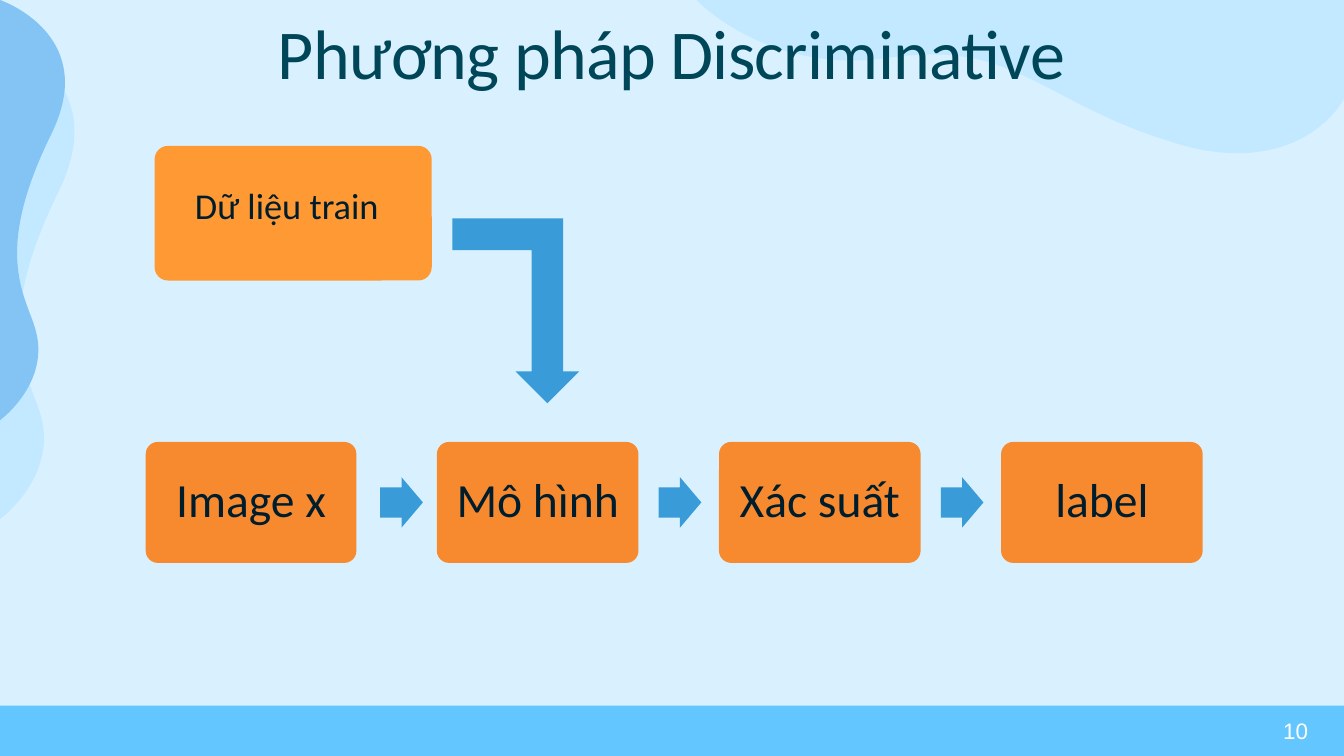
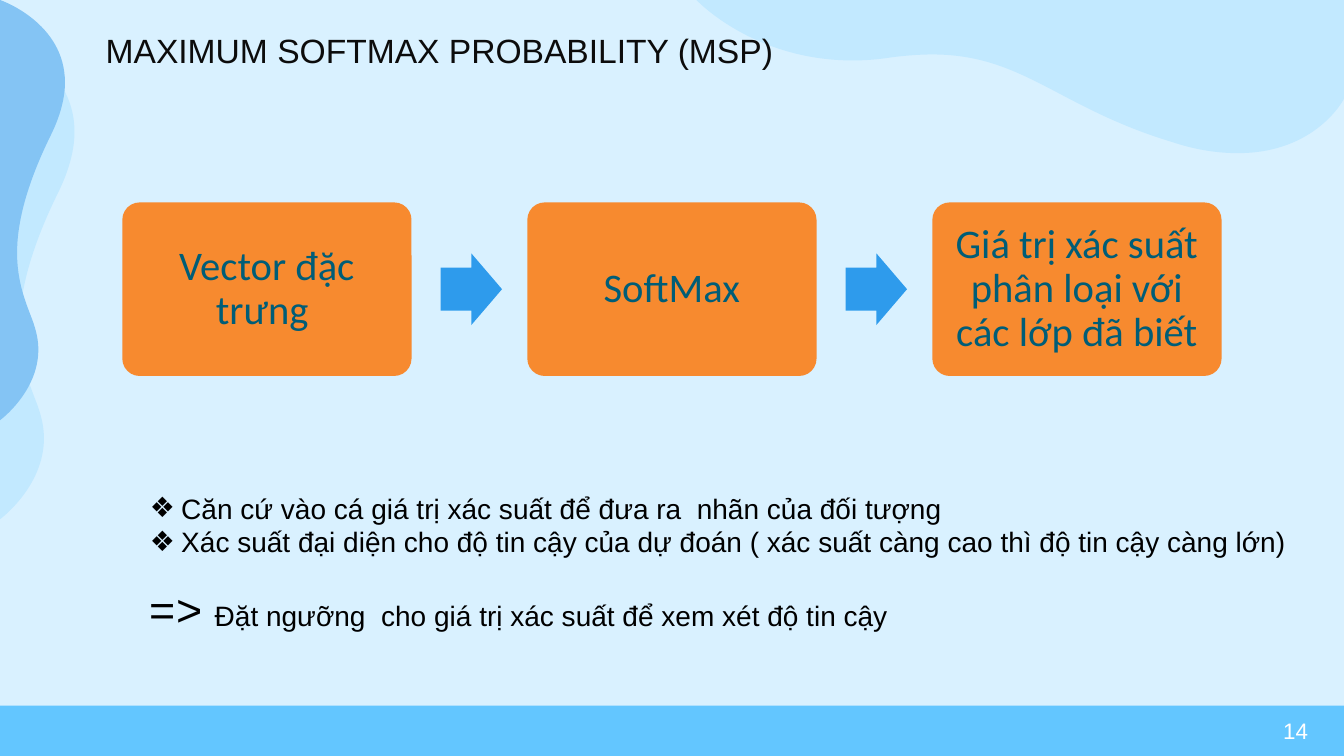
from pptx import Presentation
from pptx.dml.color import RGBColor
from pptx.enum.shapes import MSO_SHAPE
from pptx.enum.text import MSO_ANCHOR, PP_ALIGN
from pptx.oxml.ns import qn
from pptx.util import Pt
from lxml.etree import SubElement

COLORS = {
    "background": "D9F1FF",
    "band": "63C6FF",
    "pale_wave": "C2E9FF",
    "deep_wave": "84C4F4",
    "box": "F78A2F",
    "train_box": "FF9933",
    "model_arrow": "399BD8",
    "softmax_arrow": "2E9BEC",
    "title": "004659",
    "msp_title": "0C0C0C",
    "model_text": "001D2D",
    "softmax_text": "005D77",
    "black": "000000",
    "white": "FFFFFF",
}
WIDTH, HEIGHT, BAND_HEIGHT = 960, 540, 36

# Outlines: a start point, then segments of one point (line) or three (cubic curve).
TOP_WAVE = [
    (WIDTH, 0),
    [(WIDTH, 70.6)],
    [(WIDTH, 70.6), (940.3, 109.4), (884.2, 109.4)],
    [(870.5, 109.4), (854.6, 107.3), (837.4, 101.5)],
    [(756, 77), (730.8, 38.9), (666, 38.9)],
    [(657.4, 38.9), (647.3, 39.6), (636.5, 41)],
    [(627.1, 42.5), (617.8, 43.2), (609.1, 43.2)],
    [(537.8, 43.2), (497.5, 0), (497.5, 0)],
]
SIDE_WAVE = [
    (46.4, 59),
    [(46.4, 15.8), (0, 0), (0, 0)],
    [(0, 300.2)],
    [(0, 300.2), (27.4, 280.1), (27.4, 249.8)],
    [(27.4, 242.6), (25.9, 236.2), (23, 228.2)],
    [(18, 215.3), (12.2, 200.9), (12.2, 180.7)],
    [(12.2, 160.6), (18, 133.9), (36, 97.2)],
    [(43.2, 82.8), (46.4, 69.8), (46.4, 59)],
]


def rgb(name):
    return RGBColor.from_string(COLORS[name])


def paint(sp, color):
    sp.fill.solid()
    sp.fill.fore_color.rgb = rgb(color)
    sp.line.fill.background()
    sp.shadow.inherit = False
    return sp


def add_block(s, kind, left, top, width, height, color, adjust=()):
    sp = s.shapes.add_shape(kind, Pt(left), Pt(top), Pt(width), Pt(height))
    for i, value in enumerate(adjust):
        sp.adjustments[i] = value
    return paint(sp, color)


def add_wave(s, outline, color, scale=1, drop=0):
    """Build the outline from its corners, then bend the curved segments."""
    def place(point):
        return Pt(point[0] * scale), Pt(point[1] * scale + drop)

    start, *segments = outline
    builder = s.shapes.build_freeform(*place(start))
    builder.add_line_segments([place(segment[-1]) for segment in segments], close=True)
    sp = paint(builder.convert_to_shape(), color)
    edges = list(sp.element.iter(qn("a:lnTo")))
    for edge, segment in zip(edges, segments):
        if len(segment) == 1:
            continue
        edge.tag = qn("a:cubicBezTo")
        for i, control in enumerate(segment[:-1]):
            x, y = place(control)
            pt = SubElement(edge, qn("a:pt"))
            pt.set("x", str(x - sp.left))
            pt.set("y", str(y - sp.top))
            edge.insert(i, pt)


def set_frame(tf, anchor, insets=(7.2, 3.6, 7.2, 3.6)):
    """Insets run left, top, right, bottom."""
    tf.word_wrap = True
    tf.vertical_anchor = anchor
    tf.margin_left, tf.margin_top, tf.margin_right, tf.margin_bottom = map(Pt, insets)
    return tf


def add_frame(s, left, top, width, height, anchor):
    sp = s.shapes.add_textbox(Pt(left), Pt(top), Pt(width), Pt(height))
    return set_frame(sp.text_frame, anchor)


def write(p, text, size, color, font="Arial", align=PP_ALIGN.LEFT, spacing=1,
          before=0, tracking=0):
    p.alignment = align
    p.line_spacing = spacing
    p.space_before = Pt(before)
    r = p.add_run()
    r.text = text
    r.font.size = Pt(size)
    r.font.name = font
    r.font.color.rgb = rgb(color)
    if tracking:
        r.font._element.set("spc", str(int(tracking * 100)))


def set_bullet(p, char, indent):
    pPr = p._p.get_or_add_pPr()
    pPr.set("marL", str(Pt(indent)))
    pPr.set("indent", str(-Pt(indent)))
    color = SubElement(pPr, qn("a:buClr"))
    SubElement(color, qn("a:srgbClr")).set("val", COLORS["black"])
    SubElement(pPr, qn("a:buFont")).set("typeface", "Arial")
    SubElement(pPr, qn("a:buChar")).set("char", char)


def add_title(s, text, left, top, width, height, **style):
    tf = add_frame(s, left, top, width, height, MSO_ANCHOR.BOTTOM)
    write(tf.paragraphs[0], text, spacing=0.65, **style)


def add_box(s, text, left, top, width, height, size, text_color, insets, color="box"):
    sp = add_block(s, MSO_SHAPE.ROUNDED_RECTANGLE, left, top, width, height, color, (0.1,))
    tf = set_frame(sp.text_frame, MSO_ANCHOR.MIDDLE, insets)
    write(tf.paragraphs[0], text, size, text_color, "Calibri", PP_ALIGN.CENTER, 0.9)


def add_flow(s, steps, left, top, height, gap, arrow_size, arrow_color, **box):
    """Steps hold a label, a box width and the distance on to the next arrow."""
    arrow_width, arrow_height = arrow_size
    for i, (label, width, arrow_offset) in enumerate(steps):
        add_box(s, label, left, top, width, height, **box)
        if i < len(steps) - 1:
            add_block(s, MSO_SHAPE.RIGHT_ARROW, left + width + arrow_offset,
                      top + (height - arrow_height) / 2, arrow_width, arrow_height,
                      arrow_color, (0.6, 0.5))
        left += width + gap


def new_slide(prs, number):
    s = prs.slides.add_slide(prs.slide_layouts[6])
    s.background.fill.solid()
    s.background.fill.fore_color.rgb = rgb("background")
    add_block(s, MSO_SHAPE.RECTANGLE, 0, HEIGHT - BAND_HEIGHT, WIDTH, BAND_HEIGHT, "band")
    tf = add_frame(s, 725.4, 507.6, 216, 28.8, MSO_ANCHOR.MIDDLE)
    write(tf.paragraphs[0], str(number), 16, "white", align=PP_ALIGN.RIGHT)
    add_wave(s, TOP_WAVE, "pale_wave")
    add_wave(s, SIDE_WAVE, "pale_wave", scale=1.147, drop=26.6)
    add_wave(s, SIDE_WAVE, "deep_wave")
    return s


def discriminative_slide(prs):
    s = new_slide(prs, 10)
    add_title(s, "Phương pháp Discriminative", 191.5, 15, 607, 53.4,
              size=50, color="title", font="Calibri", tracking=-0.5)
    steps = [("Image x", 150.5, 17), ("Mô hình", 144, 14.4),
             ("Xác suất", 144, 14.4), ("label", 144, 14.4)]
    add_flow(s, steps, left=104.1, top=315.7, height=86.4, gap=57.5,
             arrow_size=(30.5, 36), arrow_color="model_arrow",
             size=34, text_color="model_text", insets=(10,) * 4)
    add_box(s, "Dữ liệu train", 110.4, 104.2, 198, 96.2, 26, "model_text",
            (8, 8, 16.8, 16), "train_box")
    arrow = add_block(s, MSO_SHAPE.BENT_UP_ARROW, 323.1, 156, 90.6, 132, "model_arrow")
    arrow.element.spPr.xfrm.set("flipV", "1")


def softmax_slide(prs):
    s = new_slide(prs, 14)
    labels = ("Vector đặc trưng ", "SoftMax", "Giá trị xác suất phân loại với các lớp đã biết")
    add_flow(s, [(label, 206.6, 20.8) for label in labels],
             left=87.4, top=144.6, height=124, gap=82.7,
             arrow_size=(43.8, 51.2), arrow_color="softmax_arrow",
             size=29, text_color="softmax_text", insets=(8.6,) * 4)
    add_title(s, "MAXIMUM SOFTMAX PROBABILITY (MSP)", 68.4, 12.5, 643, 40,
              size=24, color="msp_title")

    tf = add_frame(s, 100, 347.4, 847.4, 116.6, MSO_ANCHOR.TOP)
    p = tf.paragraphs[0]
    for text in ("Căn cứ vào cá giá trị xác suất để đưa ra  nhãn của đối tượng",
                 "Xác suất đại diện cho độ tin cậy của dự đoán "
                 "( xác suất càng cao thì độ tin cậy càng lớn)"):
        write(p, text, 20, "black")
        set_bullet(p, "❖", 22.4)
        p = tf.add_paragraph()
    for text, size in (("=> ", 32),
                       ("Đặt ngưỡng  cho giá trị xác suất để xem xét độ tin cậy", 20)):
        write(p, text, size, "black", before=16.4)


def main():
    prs = Presentation()
    prs.slide_width, prs.slide_height = Pt(WIDTH), Pt(HEIGHT)
    discriminative_slide(prs)
    softmax_slide(prs)
    prs.save("out.pptx")


if __name__ == "__main__":
    main()
